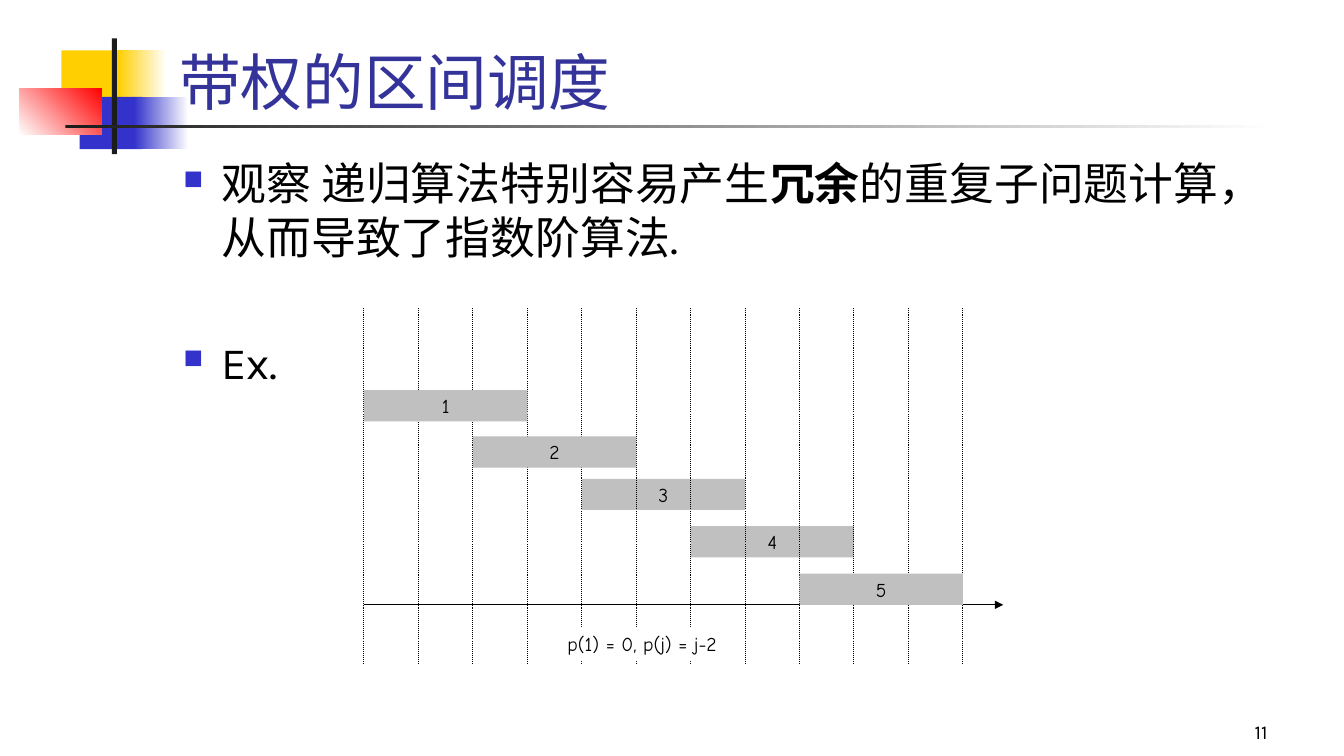
from lxml.etree import SubElement
from pptx import Presentation
from pptx.dml.color import RGBColor
from pptx.enum.dml import MSO_LINE
from pptx.enum.shapes import MSO_CONNECTOR, MSO_SHAPE
from pptx.enum.text import MSO_ANCHOR, PP_ALIGN
from pptx.oxml.ns import qn
from pptx.util import Inches, Pt

rgb = RGBColor.from_string
BLACK, WHITE, GRAY = "000000", "FFFFFF", "C0C0C0"
YELLOW, BLUE, RED, DARK = "FFCF01", "3333CC", "FF0000", "1C1C1C"

prs = Presentation()
prs.slide_width, prs.slide_height = Inches(13.33), Inches(7.5)
slide = prs.slides.add_slide(prs.slide_layouts[6])
shapes = slide.shapes


def write(paragraph, text, size=14, font="Karla", color=BLACK, bold=False, align=PP_ALIGN.LEFT):
    paragraph.alignment = align
    run = paragraph.add_run()
    run.text = text
    run.font.size, run.font.name, run.font.bold = Pt(size), font, bold
    run.font.color.rgb = rgb(color)


def add_block(left, top, width, height, fill, fade=None, angle=0, label="", align=PP_ALIGN.CENTER):
    """Add a borderless rectangle, plain or fading to a second colour."""
    block = shapes.add_shape(MSO_SHAPE.RECTANGLE, Inches(left), Inches(top),
                             Inches(width), Inches(height))
    block.shadow.inherit = False
    block.line.fill.background()
    if fade:
        block.fill.gradient()
        block.fill.gradient_angle = angle
        for stop, color in zip(block.fill.gradient_stops, (fill, fade)):
            stop.color.rgb = rgb(color)
    else:
        block.fill.solid()
        block.fill.fore_color.rgb = rgb(fill)
    if label:
        block.text_frame.vertical_anchor = MSO_ANCHOR.MIDDLE
        write(block.text_frame.paragraphs[0], label, font="Comic Neue", align=align)


# Decoration beside the title
add_block(0.61, 0.5, 0.64, 0.52, YELLOW)
add_block(1.17, 0.5, 0.48, 0.52, YELLOW, WHITE)
add_block(0.79, 0.96, 0.62, 0.52, BLUE)
add_block(1.33, 0.96, 0.54, 0.52, BLUE, WHITE)
add_block(0.19, 0.88, 0.82, 0.46, WHITE, RED, angle=45)
add_block(1.11, 0.38, 0.05, 1.15, DARK)
add_block(0.65, 1.24, 12, 0.03, DARK, WHITE)

# Slide number, title and body
page_number = shapes.add_textbox(Inches(9.89), Inches(6.92), Inches(2.78), Inches(0.5)).text_frame
title = shapes.add_textbox(Inches(1.68), Inches(-0.03), Inches(11.36), Inches(1.25)).text_frame
body = shapes.add_textbox(Inches(1.72), Inches(1.5), Inches(11.33), Inches(4.5)).text_frame
for frame in (page_number, title, body):
    frame.word_wrap = True
page_number.vertical_anchor = title.vertical_anchor = MSO_ANCHOR.BOTTOM
write(page_number.paragraphs[0], "11", align=PP_ALIGN.RIGHT)
write(title.paragraphs[0], "带权的区间调度", size=44, color="333399")

observation, example = body.paragraphs[0], body.add_paragraph()
for bullet in (observation, example):
    props = bullet._p.get_or_add_pPr()
    props.set("marL", str(Inches(0.38)))
    props.set("indent", str(-Inches(0.38)))
    SubElement(SubElement(props, qn("a:buClr")), qn("a:srgbClr"), val=BLUE)
    SubElement(props, qn("a:buSzPct"), val="60000")
    SubElement(props, qn("a:buChar"), char="■")
example.space_before = Pt(51)
write(observation, "观察 递归算法特别容易产生", size=32)
write(observation, "冗余", size=32, bold=True)
write(observation, "的重复子问题计算，从而导致了指数阶算法.", size=32)
write(example, "Ex.", size=32)

# Interval diagram: each job spans three time steps and starts two after the last
START, STEP, AXIS = 3.61, 0.54, 6
job_tops = {1: 3.87, 2: 4.33, 3: 4.75, 4: 5.22, 5: 5.69}
job_bars = {job: (START + 2 * STEP * (job - 1), top, 3 * STEP, 0.31)
            for job, top in job_tops.items()}

for job in (3, 4):
    add_block(*job_bars[job], GRAY, label=str(job))

guides = [(START + STEP * i, 6.59, START + STEP * i, 3.05) for i in range(12)]
time_axis = (START, AXIS, 9.95, AXIS)
for ends in [time_axis, *guides]:
    line = shapes.add_connector(MSO_CONNECTOR.STRAIGHT, *map(Inches, ends))
    SubElement(line._element.spPr, qn("a:effectLst"))
    line.line.color.rgb = rgb(BLACK)
    line.line.width = Pt(0.75)
    if ends == time_axis:
        SubElement(line.line._get_or_add_ln(), qn("a:tailEnd"), type="triangle")
    else:
        line.line.dash_style = MSO_LINE.ROUND_DOT

for job in (5, 1, 2):
    add_block(*job_bars[job], GRAY, label=str(job))
add_block(5.53, 6.22, 1.8, 0.34, WHITE, label="p(1) = 0, p(j) = j-2", align=PP_ALIGN.LEFT)

prs.save("out.pptx")
